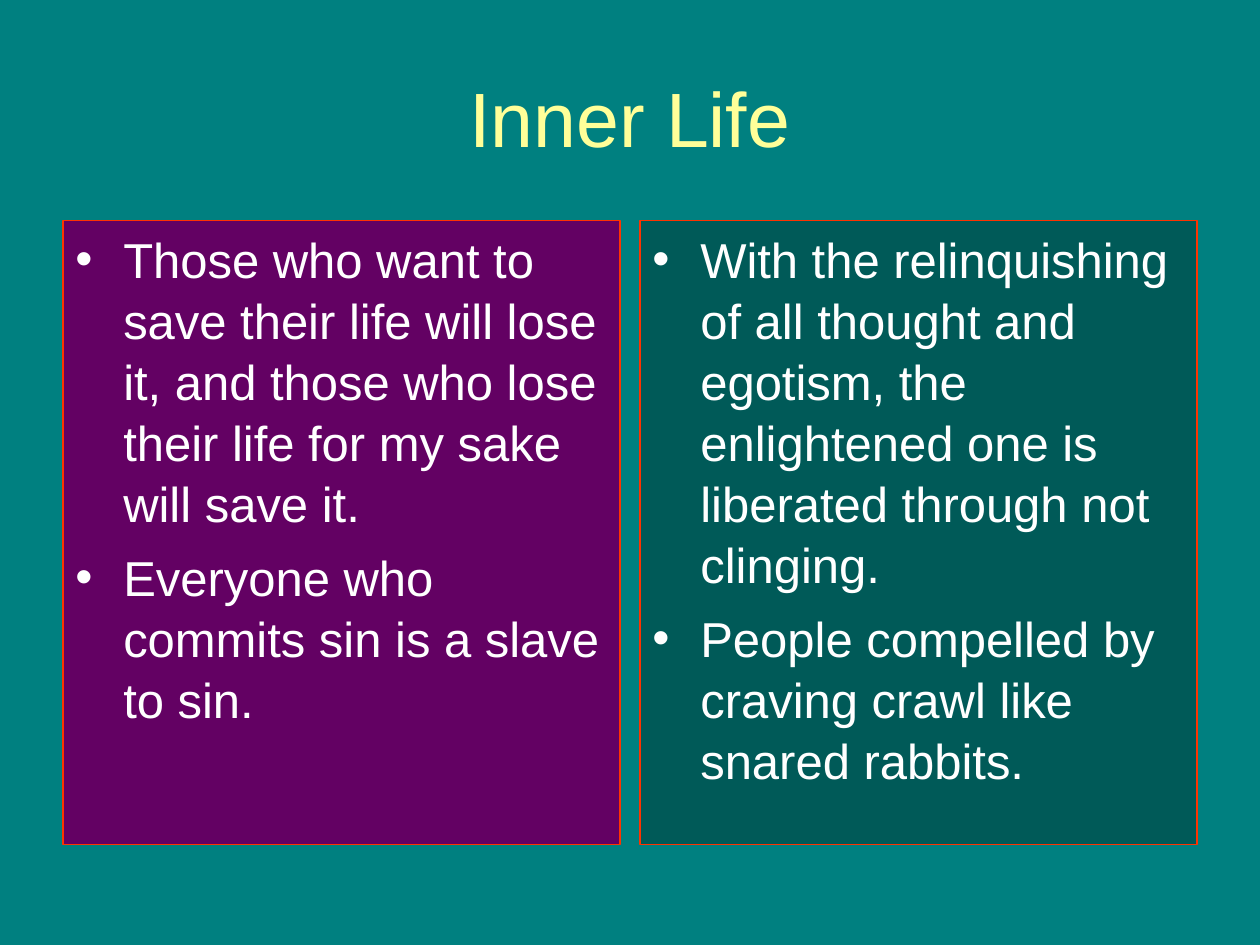
from lxml.etree import SubElement
from pptx import Presentation
from pptx.dml.color import RGBColor
from pptx.enum.shapes import MSO_SHAPE
from pptx.enum.text import MSO_ANCHOR, PP_ALIGN
from pptx.oxml.ns import qn
from pptx.util import Inches, Pt

TITLE = "Inner Life"
PANELS = [
    ("purple", [
        "Those who want to save their life will lose it, and those who lose their life for my sake will save it.",
        "Everyone who commits sin is a slave to sin.",
    ]),
    ("green", [
        "With the relinquishing of all thought and egotism, the enlightened one is liberated through not clinging.",
        "People compelled by craving crawl like snared rabbits.",
    ]),
]
THEME = {
    "font": "Arial", "title_size": 44, "body_size": 28,
    "background": "008080", "title": "FFFF99", "text": "FFFFFF",
    "border": "FF3300", "purple": "630163", "green": "005A58",
}
SLIDE_W, MARGIN, GAP = 10, 0.5, 0.16
PANEL_TOP, PANEL_H = 1.75, 4.95
PANEL_W = (SLIDE_W - 2 * MARGIN - GAP * (len(PANELS) - 1)) / len(PANELS)
INDENT = 0.38


def color(name):
    return RGBColor.from_string(THEME[name])


def add_bullet(p):
    pPr = p._p.get_or_add_pPr()
    pPr.set("marL", str(Inches(INDENT)))
    pPr.set("indent", str(-Inches(INDENT)))
    SubElement(pPr, qn("a:buFont"), typeface=THEME["font"])
    SubElement(pPr, qn("a:buChar"), char="•")


def write(p, text, size, fill, align=PP_ALIGN.LEFT, bullet=False, before=0, spacing=None):
    p.alignment = align
    p.space_before = Pt(before)
    if spacing:
        p.line_spacing = spacing
    if bullet:
        add_bullet(p)
    r = p.add_run()
    r.text = text
    r.font.name = THEME["font"]
    r.font.size = Pt(THEME[size])
    r.font.color.rgb = color(fill)


def add_panel(s, left, fill, items):
    sp = s.shapes.add_shape(MSO_SHAPE.RECTANGLE, Inches(left), Inches(PANEL_TOP),
                            Inches(PANEL_W), Inches(PANEL_H))
    sp.shadow.inherit = False
    sp.fill.solid()
    sp.fill.fore_color.rgb = color(fill)
    sp.line.color.rgb = color("border")
    sp.line.width = Pt(0.75)
    tf = sp.text_frame
    tf.word_wrap = True
    tf.vertical_anchor = MSO_ANCHOR.TOP
    for i, text in enumerate(items):
        p = tf.add_paragraph() if i else tf.paragraphs[0]
        write(p, text, "body_size", "text", bullet=True, before=7 if i else 0, spacing=1.04)


def main():
    prs = Presentation()
    prs.slide_width, prs.slide_height = Inches(SLIDE_W), Inches(7.5)
    s = prs.slides.add_slide(prs.slide_layouts[5])
    s.background.fill.solid()
    s.background.fill.fore_color.rgb = color("background")

    title = s.shapes.title
    title.left, title.top = Inches(MARGIN), Inches(0.3)
    title.width, title.height = Inches(SLIDE_W - 2 * MARGIN), Inches(1.25)
    title.text_frame.vertical_anchor = MSO_ANCHOR.MIDDLE
    write(title.text_frame.paragraphs[0], TITLE, "title_size", "title", align=PP_ALIGN.CENTER)

    for i, (fill, items) in enumerate(PANELS):
        add_panel(s, MARGIN + i * (PANEL_W + GAP), fill, items)
    prs.save("out.pptx")


if __name__ == "__main__":
    main()
